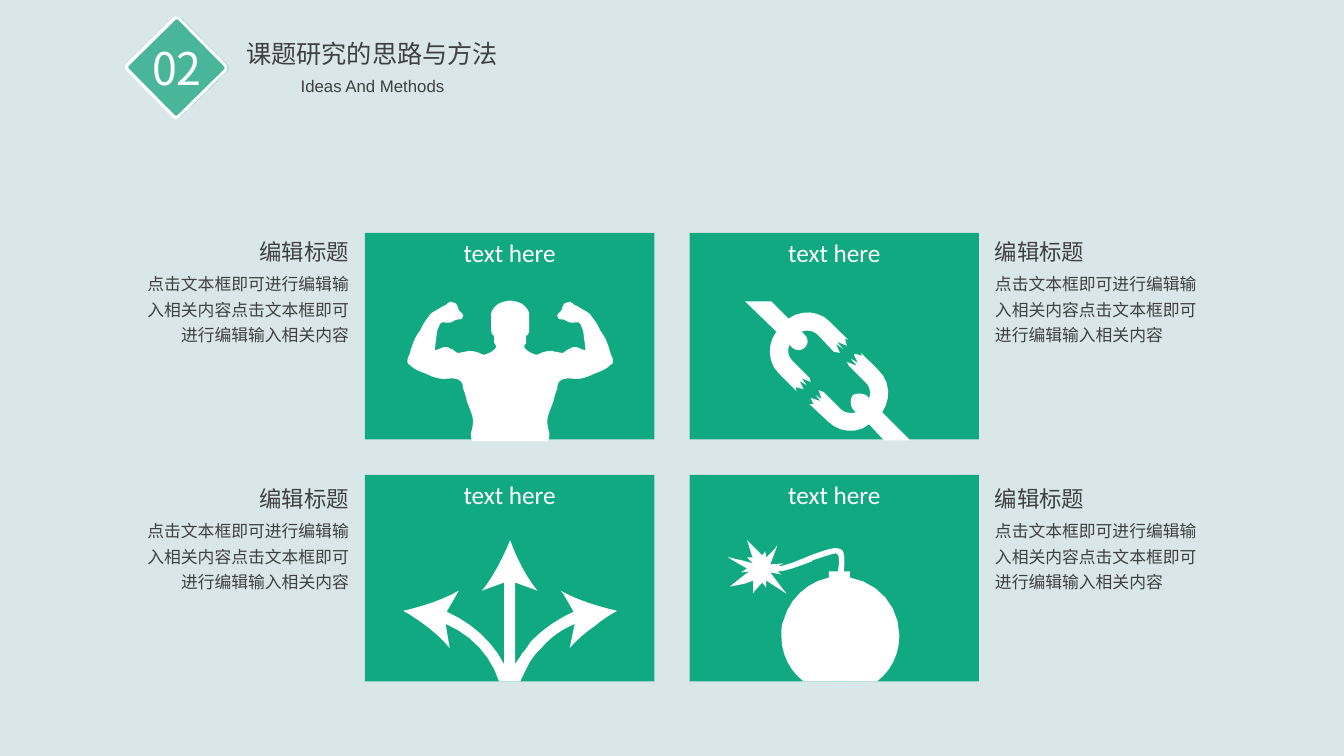
from lxml.etree import SubElement
from pptx import Presentation
from pptx.dml.color import RGBColor
from pptx.enum.shapes import MSO_SHAPE as SHAPE
from pptx.enum.text import MSO_AUTO_SIZE as AUTO, PP_ALIGN as ALIGN
from pptx.oxml.ns import qn
from pptx.util import Inches, Pt

COLORS = {
    "background": "D9E7E8",
    "card": "10A981",
    "badge": "49B59A",
    "white": "FFFFFF",
    "text": "404040",
}
CJK = "Noto Sans CJK SC"
BODY = "点击文本框即可进行编辑输入相关内容点击文本框即可进行编辑输入相关内容"
CARD_W, CARD_H = 2.87, 2.05
COLUMNS = (3.62, 6.84)
ROWS = ((2.31, 2.31), (4.71, 4.76))
CURVE_STEPS = 6
UNIT = Inches(0.01)

TORSO = """107 206, 106 204 106 201 106 199, 107 195 108 191 108 187,
108 180 104 173 102 167, 101 163 100 158 98 154, 98 152 98 150 96 147,
95 146 92 144 90 144, 87 143 82 144 78 144, 73 144 67 142 61 139"""
ARM = """56 137 49 135 45 130, 43 130 43 128 43 127, 43 124 44 123 45 121,
47 113 50 104 55 98, 57 94 59 90 62 86, 64 84 64 82 67 80,
70 78 74 76 77 74, 78 73 80 73 81 72, 82 71 83 70 84 70,
84 69 86 69 87 70, 88 70, 91 71 91 74 92 76, 92 77 93 78 94 79, 95 80,
96 81 97 82 96 83, 96 85 94 85 93 85, 90 85 89 86 87 87,
84 89 81 88 78 88, 73 87 73 93 71 96, 70 101 70 105 69 110"""
SHOULDER_HEAD = """69 114 68 116 69 117, 70 118 73 116 74 116,
78 114 81 113 85 116, 87 116 90 120 92 120, 93 120 99 119 103 118,
107 118 112 119 115 121, 118 122 118 122 121 121, 123 120 126 119 128 117,
129 116 130 116 131 113, 131 112 130 110 129 109, 129 106 129 103 129 101,
126 102 126 96 126 94, 126 90 126 85 126 80, 127 76 130 73 133 71,
135 70 136 70 138 69, 140 69 142 68 144 68"""
UPPER_LINK = """154 105, 156 112, 146 108, 152 115, 145 110, 149 119, 143 118,
127 101, 122 97 117 96 111 98, 114 101, 118 105 118 110 114 114,
111 117 105 117 102 114, 99 111, 97 116 97 122 102 127, 119 144, 120 148,
111 144, 116 151, 109 147, 113 155, 105 153, 106 157, 88 139,
77 128 77 110 86 98, 55 68, 81 68, 98 85, 111 76 128 77 139 88, 157 106"""
LOWER_LINK = """219 206, 193 206, 178 190, 166 200 148 198 137 187, 119 170,
123 170, 120 164, 121 164, 130 167, 125 161, 131 165, 128 156, 133 158,
150 175, 153 178 160 180 165 178, 162 175, 159 171 159 165 162 161,
165 159 171 159 175 161, 178 164, 180 159 179 153 175 149, 158 132, 156 128,
166 132, 160 125, 167 129, 163 121, 164 120, 171 122, 170 119, 187 136,
199 147 200 165 191 178"""
ARROWS = """250 135, 243 139 235 144 228 150, 219 156 210 164 203 172, 208 148,
194 154 183 162 174 173, 170 176 167 181 164 185, 160 192 157 199 154 205,
133 205, 125 180 106 159 80 148, 84 172, 73 158 54 144 38 135,
56 131 78 124 93 115, 81 136, 106 147 126 165 138 188, 138 107, 116 115,
127 102 137 82 144 65, 150 82 160 102 171 115, 149 107, 149 188,
151 184 154 181 156 177, 160 173 162 169 165 165, 177 153 191 143 207 136,
196 117, 194 115, 209 124 232 131 250 135"""
BOMB_BODY = """208 160, 208 179 199 195 186 205, 113 205, 100 195 91 179 91 160,
91 154 91 149 93 145, 99 123 116 107 138 102, 138 96, 147 96,
148 91 149 82 147 79, 147 79 146 79 145 78, 142 78 131 82 122 85, 121 86,
108 91 95 96 87 96"""
SPARK = """91 99, 80 97, 96 118, 76 105, 76 112, 72 107, 64 116,
63 118, 63 114, 63 105, 55 108, 40 111, 51 102, 59 96, 51 97, 57 93, 48 88,
38 82, 39 82, 52 85, 63 88, 58 83, 57 82, 63 82, 62 81, 57 65, 69 77, 72 80,
75 76, 76 82, 84 74, 87 70, 86 73, 80 89, 93 88, 87 91"""
FUSE = """94 91 108 85 120 80, 131 76 142 72 146 73, 148 73 151 74 152 76,
155 82 153 91 153 96, 159 96, 159 102, 187 107 208 130 208 160"""


def rgb(name):
    return RGBColor.from_string(COLORS[name])


def trace(*outlines):
    points = []
    for segment in ",".join(outlines).split(","):
        nums = [int(n) for n in segment.split()]
        pairs = list(zip(nums[::2], nums[1::2]))
        if len(pairs) == 1:
            points += pairs
            continue
        a, b, c, d = [points[-1]] + pairs
        for step in range(1, CURVE_STEPS + 1):
            t = step / CURVE_STEPS
            u = 1 - t
            points.append(tuple(
                u**3 * a[i] + 3 * u * u * t * b[i] + 3 * u * t * t * c[i] + t**3 * d[i]
                for i in (0, 1)))
    return points


def mirror(points):
    axis = points[-1][0]
    return points + [(2 * axis - x, y) for x, y in points[-2::-1]]


def paint(sp, fill, line=None, width=0):
    sp.shadow.inherit = False
    sp.fill.solid()
    sp.fill.fore_color.rgb = rgb(fill)
    if line:
        sp.line.color.rgb = rgb(line)
        sp.line.width = Pt(width)
    else:
        sp.line.fill.background()


def add_shape(slide, kind, x, y, w, h, fill, line=None, width=0):
    sp = slide.shapes.add_shape(kind, Inches(x), Inches(y), Inches(w), Inches(h))
    paint(sp, fill, line, width)
    return sp


def add_text(slide, text, x, y, w, h, size, font=CJK, color="text",
             align=ALIGN.CENTER, spacing=None):
    sp = slide.shapes.add_textbox(Inches(x), Inches(y), Inches(w), Inches(h))
    tf = sp.text_frame
    tf.word_wrap = True
    tf.auto_size = AUTO.SHAPE_TO_FIT_TEXT
    p = tf.paragraphs[0]
    p.alignment = align
    if spacing:
        p.line_spacing = spacing
    r = p.add_run()
    r.text = text
    r.font.size = Pt(size)
    r.font.name = font
    r.font.color.rgb = rgb(color)
    SubElement(r.font._element, qn("a:ea")).set("typeface", font)


def add_icon(slide, points, x, y, line=None, width=0):
    scaled = [(px * UNIT, py * UNIT) for px, py in points]
    builder = slide.shapes.build_freeform(*scaled[0])
    builder.add_line_segments(scaled[1:], close=True)
    paint(builder.convert_to_shape(Inches(x), Inches(y)), "white", line, width)


def add_header(slide, x, y):
    back = add_shape(slide, SHAPE.ROUNDED_RECTANGLE, x + 0.44, y, 0.74, 0.74, "card")
    front = add_shape(slide, SHAPE.ROUNDED_RECTANGLE, x + 0.44, y + 0.01, 0.72, 0.72,
                      "badge", "white", 2.25)
    for sp, corner in ((back, 0.06), (front, 0.05)):
        sp.adjustments[0] = corner
        sp.rotation = 45.4
    add_text(slide, "02", x + 0.42, y + 0.05, 0.77, 0.64, 32, color="white")
    add_text(slide, "课题研究的思路与方法", x + 0.03, y + 0.03, 5.42, 0.4, 18)
    add_text(slide, "Ideas And Methods", x, y + 0.4, 5.49, 0.3, 12, "Arial")


def add_card(slide, x, y, icons, line=None, width=0):
    add_shape(slide, SHAPE.RECTANGLE, x, y, CARD_W, CARD_H, "card")
    for points in icons:
        add_icon(slide, points, x, y, line, width)
    add_text(slide, "text here", x + 0.63, y, 1.61, 0.4, 18, "Calibri", "white")


def add_note(slide, x, y, w, align):
    title_w = 1.41
    title_x = x + w - title_w if align == ALIGN.RIGHT else x
    add_text(slide, BODY, x, y + 0.31, w, 0.86, 12, align=align, spacing=1.25)
    add_text(slide, "编辑标题", title_x, y, title_w, 0.37, 16, align=align)


def main():
    prs = Presentation()
    prs.slide_width, prs.slide_height = Inches(13.33), Inches(7.5)
    slide = prs.slides.add_slide(prs.slide_layouts[6])
    slide.background.fill.solid()
    slide.background.fill.fore_color.rgb = rgb("background")
    add_header(slide, 0.95, 0.3)
    left, right = COLUMNS
    (top, _), (bottom, _) = ROWS
    strongman = mirror(trace(TORSO, ARM, SHOULDER_HEAD))
    add_card(slide, left, top, [strongman], "white", 1.25)
    add_card(slide, right, top, [trace(UPPER_LINK), trace(LOWER_LINK)])
    add_card(slide, left, bottom, [trace(ARROWS)])
    add_card(slide, right, bottom, [trace(BOMB_BODY, SPARK, FUSE)])
    for _, note_y in ROWS:
        add_note(slide, 1.28, note_y, 2.28, ALIGN.RIGHT)
        add_note(slide, 9.77, note_y, 2.28, ALIGN.LEFT)
    prs.save("out.pptx")


if __name__ == "__main__":
    main()
